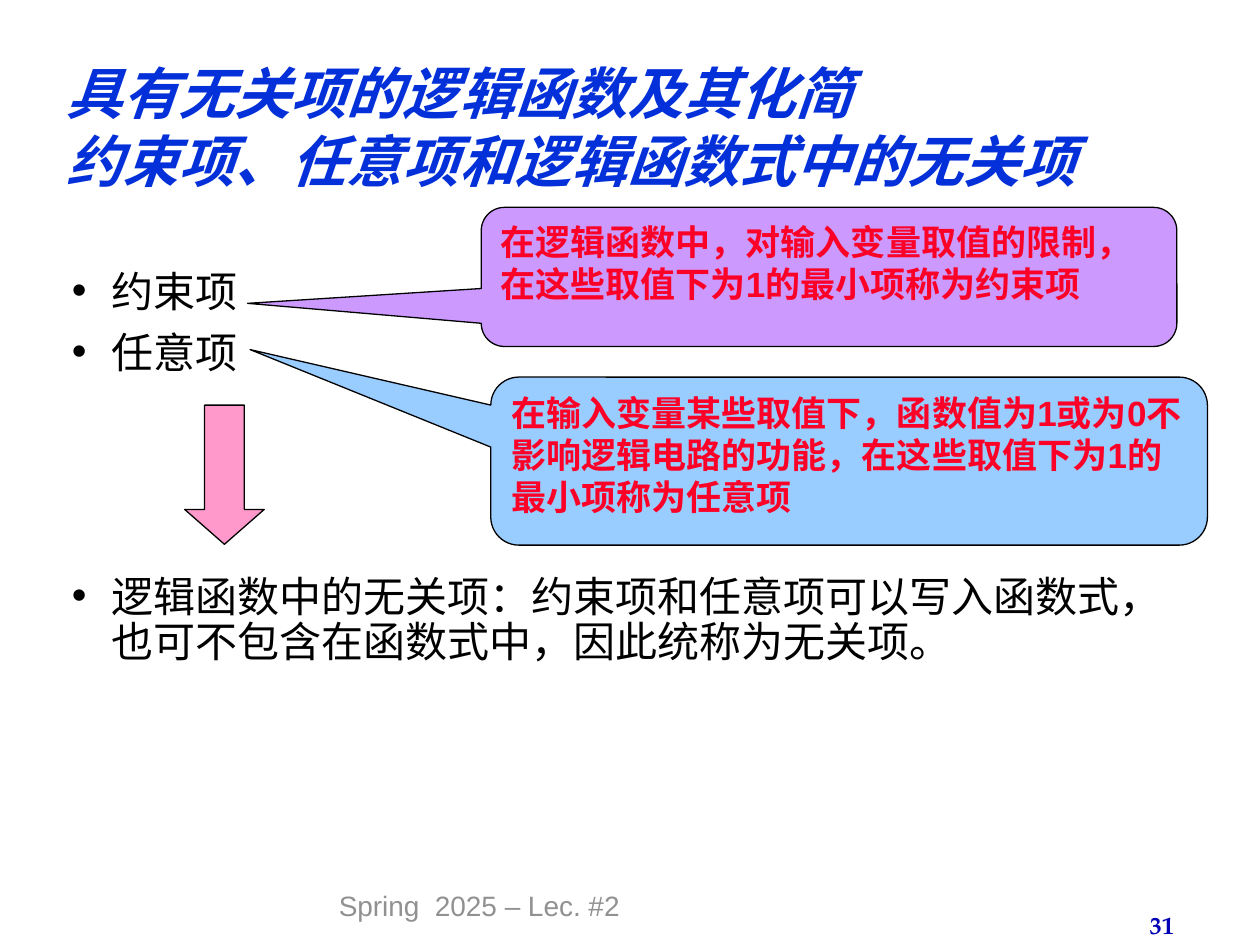
from dataclasses import dataclass

from lxml.etree import SubElement
from pptx import Presentation
from pptx.dml.color import RGBColor
from pptx.enum.shapes import MSO_SHAPE
from pptx.enum.text import MSO_ANCHOR, MSO_AUTO_SIZE, PP_ALIGN
from pptx.oxml.ns import qn
from pptx.util import Pt


@dataclass(frozen=True)
class Style:
    size: float
    color: str
    font: str = "Arial"
    bold: bool = False
    italic: bool = False
    leading: float | None = None


@dataclass(frozen=True)
class Theme:
    cjk: str = "Noto Sans CJK SC"
    line: str = "000000"
    line_width: float = 0.75
    purple: str = "CC99FF"
    blue: str = "99CCFF"
    pink: str = "FF99CC"
    title: Style = Style(32, "0330D8", "Noto Sans CJK SC", True, True, 38.4)
    body: Style = Style(24, "000000", leading=25.8)
    callout: Style = Style(20, "FC0128", bold=True, leading=24)
    footer: Style = Style(16, "919191")
    number: Style = Style(14, "0000B6", "TeX Gyre Pagella", True)


@dataclass(frozen=True)
class Box:
    x: float
    y: float
    w: float
    h: float

    def lengths(self) -> tuple:
        return Pt(self.x), Pt(self.y), Pt(self.w), Pt(self.h)


@dataclass(frozen=True)
class Figure:
    kind: MSO_SHAPE
    box: Box
    fill: str
    adjustments: tuple
    text: str = ""


@dataclass(frozen=True)
class Bullet:
    text: str
    before: float = 9


THEME = Theme()
INDENT = 22.5

TITLE = "具有无关项的逻辑函数及其化简\v约束项、任意项和逻辑函数式中的无关项"

BULLETS = [
    Bullet("约束项"),
    Bullet("任意项"),
    Bullet("逻辑函数中的无关项：约束项和任意项可以写入函数式，也可不包含在函数式中，因此统称为无关项。", 113.6),
]

FIGURES = [
    Figure(MSO_SHAPE.ROUNDED_RECTANGULAR_CALLOUT, Box(275, 118.5, 397.5, 79.5),
           THEME.purple, (-0.836, 0.19, 0.167),
           "在逻辑函数中，对输入变量取值的限制，在这些取值下为1的最小项称为约束项"),
    Figure(MSO_SHAPE.ROUNDED_RECTANGULAR_CALLOUT, Box(280.5, 215.5, 409.5, 96),
           THEME.blue, (-0.836, -0.664, 0.167),
           "在输入变量某些取值下，函数值为1或为0不影响逻辑电路的功能，在这些取值下为1的最小项称为任意项"),
    Figure(MSO_SHAPE.DOWN_ARROW, Box(105.5, 231.5, 45.5, 79.5),
           THEME.pink, (0.5, 0.438)),
]


def write(p, text: str, style: Style, align=PP_ALIGN.LEFT) -> None:
    p.text = text
    p.alignment = align
    if style.leading:
        p.line_spacing = Pt(style.leading)
    for r in p.runs:
        r.font.size = Pt(style.size)
        r.font.bold = style.bold
        r.font.italic = style.italic
        r.font.color.rgb = RGBColor.from_string(style.color)
        r.font.name = style.font
        SubElement(r._r.get_or_add_rPr(), qn("a:ea"), typeface=THEME.cjk)


def add_title(s, text: str, box: Box) -> None:
    sp = s.shapes.title
    sp.left, sp.top, sp.width, sp.height = box.lengths()
    tf = sp.text_frame
    tf.auto_size = MSO_AUTO_SIZE.NONE
    tf.vertical_anchor = MSO_ANCHOR.MIDDLE
    write(tf.paragraphs[0], text, THEME.title)


def add_text(s, text: str, box: Box, style: Style, align=PP_ALIGN.LEFT,
             anchor=MSO_ANCHOR.TOP, wrap: bool = True) -> None:
    tf = s.shapes.add_textbox(*box.lengths()).text_frame
    tf.word_wrap = wrap
    tf.vertical_anchor = anchor
    write(tf.paragraphs[0], text, style, align)


def add_bullets(s, bullets: list[Bullet], box: Box) -> None:
    tf = s.shapes.add_textbox(*box.lengths()).text_frame
    tf.word_wrap = True
    for i, bullet in enumerate(bullets):
        p = tf.add_paragraph() if i else tf.paragraphs[0]
        write(p, bullet.text, THEME.body)
        p.space_before = Pt(bullet.before)
        pPr = p._p.get_or_add_pPr()
        pPr.set("marL", str(Pt(INDENT)))
        pPr.set("indent", str(-Pt(INDENT)))
        SubElement(pPr, qn("a:buFont"), typeface=THEME.body.font)
        SubElement(pPr, qn("a:buChar"), char="•")


def add_figure(s, figure: Figure) -> None:
    sp = s.shapes.add_shape(figure.kind, *figure.box.lengths())
    sp.shadow.inherit = False
    for i, value in enumerate(figure.adjustments):
        sp.adjustments[i] = value
    sp.fill.solid()
    sp.fill.fore_color.rgb = RGBColor.from_string(figure.fill)
    sp.line.color.rgb = RGBColor.from_string(THEME.line)
    sp.line.width = Pt(THEME.line_width)
    if figure.text:
        tf = sp.text_frame
        tf.word_wrap = True
        tf.vertical_anchor = MSO_ANCHOR.TOP
        write(tf.paragraphs[0], figure.text, THEME.callout)


def main() -> None:
    prs = Presentation()
    prs.slide_width, prs.slide_height = Pt(720), Pt(540)
    s = prs.slides.add_slide(prs.slide_layouts[5])
    add_text(s, "31", Box(528, 517, 150, 23), THEME.number,
             PP_ALIGN.RIGHT, MSO_ANCHOR.MIDDLE, wrap=False)
    add_text(s, "Spring  2025 – Lec. #2", Box(186.5, 504, 350.5, 36.5), THEME.footer)
    add_bullets(s, BULLETS, Box(34, 151, 641, 338))
    for figure in FIGURES:
        add_figure(s, figure)
    add_title(s, TITLE, Box(31, 26, 674.5, 92))
    prs.save("out.pptx")


if __name__ == "__main__":
    main()
